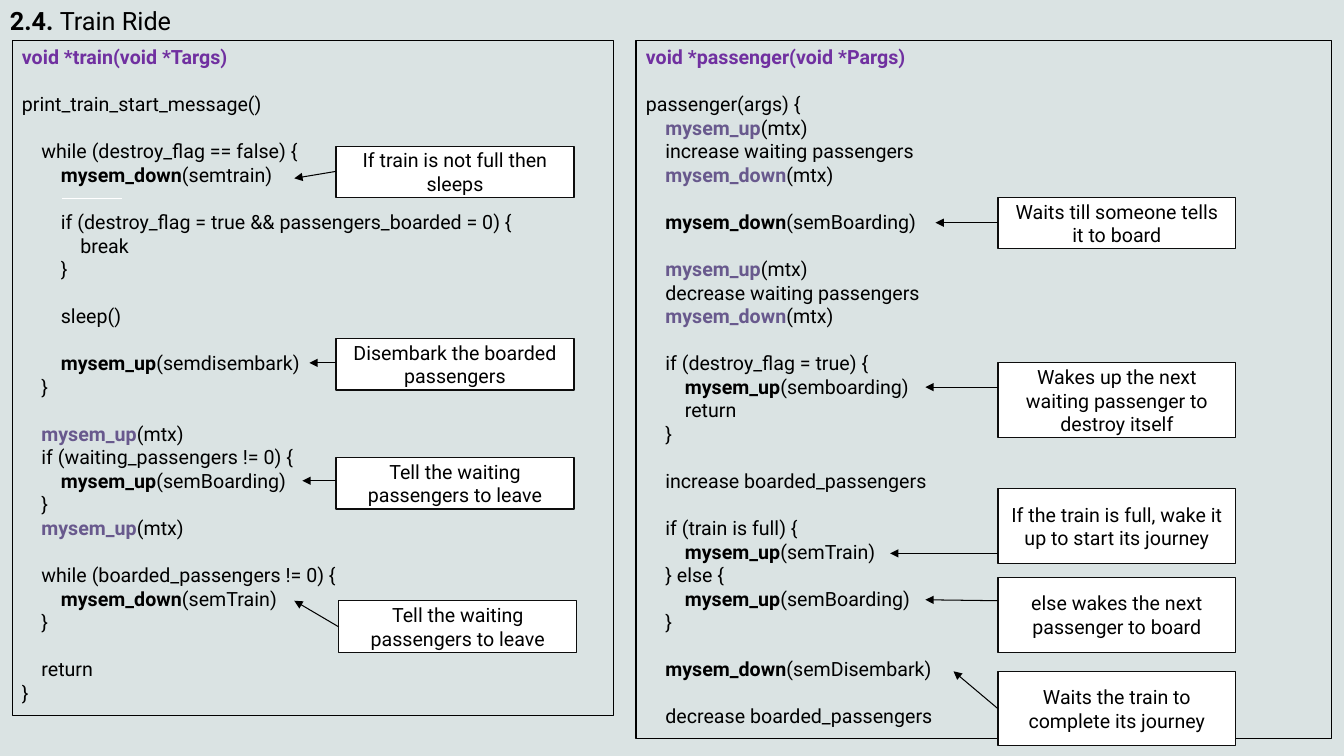
import pptx
import pptx.util
import pptx.dml.color
import pptx.enum.shapes
import pptx.enum.text
import pptx.oxml.ns
from lxml import etree

Pt = pptx.util.Pt
qn = pptx.oxml.ns.qn

TRAIN = """void *train(void *Targs)

print_train_start_message()

    while (destroy_flag == false) {
        mysem_down(semtrain)

        if (destroy_flag = true && passengers_boarded = 0) {
            break
        }

        sleep()

        mysem_up(semdisembark)
    }

    mysem_up(mtx)
    if (waiting_passengers != 0) {
        mysem_up(semBoarding)
    }
    mysem_up(mtx)

    while (boarded_passengers != 0) {
        mysem_down(semTrain)
    }

    return
}"""

RIDER = """void *passenger(void *Pargs)

passenger(args) {
    mysem_up(mtx)
    increase waiting passengers
    mysem_down(mtx)

    mysem_down(semBoarding)

    mysem_up(mtx)
    decrease waiting passengers
    mysem_down(mtx)

    if (destroy_flag = true) {
        mysem_up(semboarding)
        return
    }

    increase boarded_passengers

    if (train is full) {
        mysem_up(semTrain)
    } else {
        mysem_up(semBoarding)
    }

    mysem_down(semDisembark)

    decrease boarded_passengers"""

NOTES = [
    (240, 104.4, 36.7, "If train is not full then sleeps", 122.4, 210.2, 127.4),
    (240, 241.9, 36.7, "Disembark the boarded passengers", 259.2, 221, 259.2),
    (240, 326.9, 36.7, "Tell the waiting passengers to leave", 343.4, 216, 343.4),
    (242, 429.1, 36.7, "Tell the waiting passengers to leave", 447.8, 210.2, 429.1),
    (712.8, 141.1, 36.7, "Waits till someone tells it to board", 159.1, 668.2, 159.1),
    (712.8, 259.2, 53.3, "Wakes up the next waiting passenger to destroy itself", 276.5, 661, 276.5),
    (712.8, 349.2, 53.3, "If the train is full, wake it up to start its journey", 395.3, 635.8, 395.3),
    (712.8, 412.6, 53.3, "else wakes the next passenger to board", 429.1, 661, 428.4),
    (712.8, 479.5, 53.3, "Waits the train to complete its journey", 506.2, 681.1, 479.5),
]


def tint(code):
    return pptx.dml.color.RGBColor.from_string(code)


class Page:
    face = "Roboto"
    size = 14
    pitch = 16.8
    step = 13.9
    ink = "000000"
    head = "7030A0"
    lock = "68598D"
    edge = "0D0D0D"
    white = "FFFFFF"
    back = "DAE3E3"

    def __init__(self, deck):
        self.slide = deck.slides.add_slide(deck.slide_layouts[6])
        fill = self.slide.background.fill
        fill.solid()
        fill.fore_color.rgb = tint(self.back)

    def font(self, para, size, color=None, bold=None):
        para.font.name = self.face
        para.font.size = Pt(size)
        if bold is not None:
            para.font.bold = bold
        if color:
            para.font.color.rgb = tint(color)

    def title(self, mark, text):
        box = self.slide.shapes.add_textbox(0, 0, Pt(480), Pt(28.8))
        box.text_frame.word_wrap = True
        para = box.text_frame.paragraphs[0]
        self.font(para, 18, self.ink)
        for part, bold in ((mark, True), (text, False)):
            run = para.add_run()
            run.text = part
            run.font.bold = bold

    def box(self, x, y, w, h, edge, width, fill=None):
        shape = self.slide.shapes.add_shape(
            pptx.enum.shapes.MSO_SHAPE.RECTANGLE, Pt(x), Pt(y), Pt(w), Pt(h))
        shape.shadow.inherit = False
        if fill:
            shape.fill.solid()
            shape.fill.fore_color.rgb = tint(fill)
        else:
            shape.fill.background()
        shape.line.color.rgb = tint(edge)
        shape.line.width = Pt(width)
        shape.text_frame.word_wrap = True
        return shape.text_frame

    def code(self, x, y, w, h, text):
        frame = self.box(x, y, w, h, self.ink, 0.75)
        frame.vertical_anchor = pptx.enum.text.MSO_ANCHOR.TOP
        para, gap = frame.paragraphs[0], 0
        for row, line in enumerate(text.split("\n")):
            if not line:
                gap += self.pitch
                continue
            if row:
                para = frame.add_paragraph()
            para.alignment = pptx.enum.text.PP_ALIGN.LEFT
            para.space_before, gap = Pt(gap), 0
            body = line.lstrip()
            depth = (len(line) - len(body)) // 4
            para._p.get_or_add_pPr().set("marL", str(Pt(depth * self.step)))
            if body.startswith("mysem"):
                self.call(para, body)
            else:
                self.font(para, self.size, self.ink if row else self.head, row == 0)
                para.add_run().text = body

    def call(self, para, body):
        self.font(para, self.size)
        name, rest = body.split("(")
        color = self.lock if rest == "mtx)" else self.ink
        for part, hue, bold in ((name, color, True), ("(" + rest, self.ink, False)):
            run = para.add_run()
            run.text = part
            run.font.bold = bold
            run.font.color.rgb = tint(hue)

    def note(self, x, y, h, text):
        frame = self.box(x, y, 170, h, self.edge, 0.85, self.white)
        frame.vertical_anchor = pptx.enum.text.MSO_ANCHOR.MIDDLE
        para = frame.paragraphs[0]
        para.alignment = pptx.enum.text.PP_ALIGN.CENTER
        self.font(para, self.size, self.ink)
        para.add_run().text = text

    def line(self, x, y, to_x, to_y, color, width, arrow=False):
        link = self.slide.shapes.add_connector(
            pptx.enum.shapes.MSO_CONNECTOR.STRAIGHT, Pt(x), Pt(y), Pt(to_x), Pt(to_y))
        link.line.color.rgb = tint(color)
        link.line.width = Pt(width)
        if arrow:
            etree.SubElement(link.line._get_or_add_ln(), qn("a:tailEnd"), type="triangle")
        etree.SubElement(link._element.spPr, qn("a:effectLst"))


def main():
    deck = pptx.Presentation()
    deck.slide_width, deck.slide_height = Pt(960), Pt(540)
    page = Page(deck)
    page.line(44.6, 141.8, 87.1, 141.8, page.white, 1)
    page.title("2.4. ", "Train Ride")
    page.code(8.6, 28.8, 430, 482.4, TRAIN)
    page.code(454.3, 28.8, 496.8, 499, RIDER)
    for x, y, h, text, *rest in NOTES:
        page.note(x, y, h, text)
    for x, y, h, text, from_y, to_x, to_y in NOTES:
        page.line(x, from_y, to_x, to_y, page.ink, 0.75, True)
    deck.save("out.pptx")


if __name__ == "__main__":
    main()
